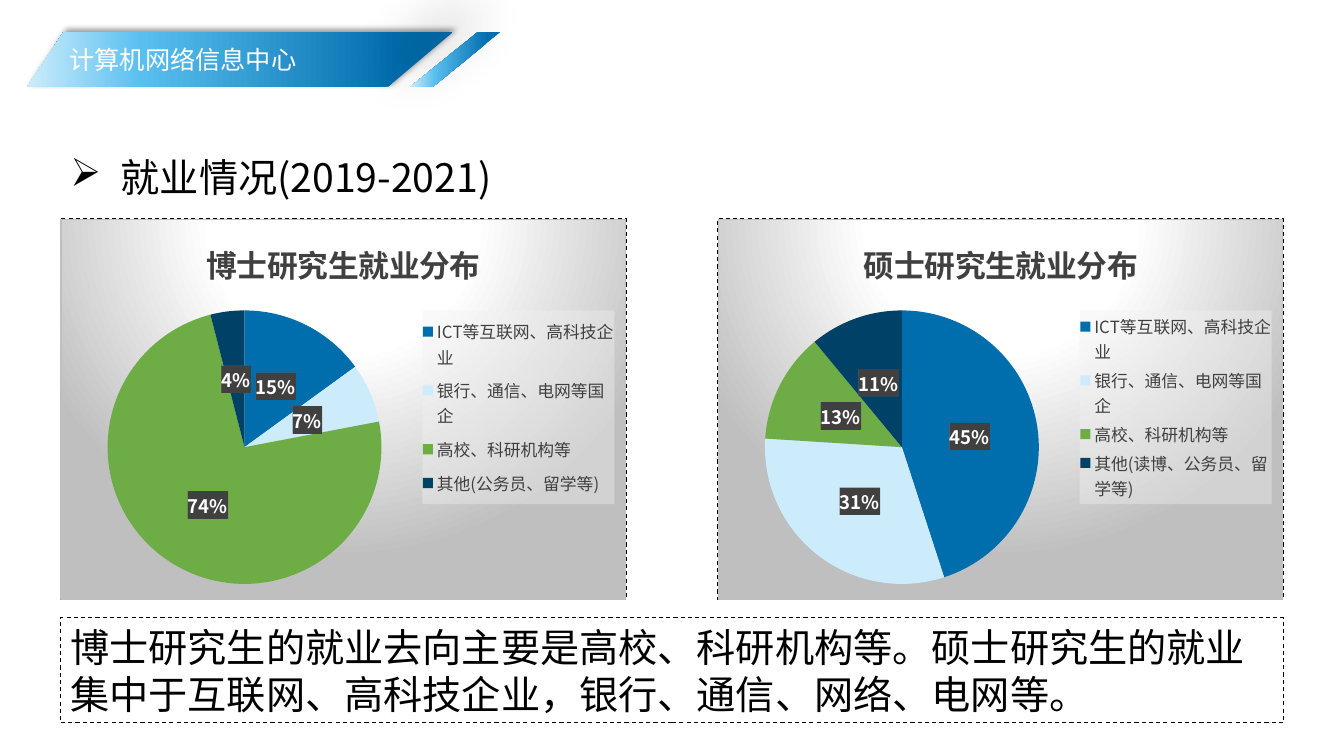
from lxml.etree import SubElement
from pptx import Presentation
from pptx.chart.data import CategoryChartData
from pptx.dml.color import RGBColor
from pptx.enum.chart import XL_CHART_TYPE, XL_LABEL_POSITION, XL_LEGEND_POSITION
from pptx.enum.dml import MSO_LINE
from pptx.enum.shapes import MSO_SHAPE
from pptx.enum.text import MSO_ANCHOR, PP_ALIGN
from pptx.oxml import parse_xml
from pptx.oxml.ns import nsdecls, qn
from pptx.util import Inches, Pt

FONT = "Noto Sans CJK SC"
COLORS = {
    "black": "000000", "white": "FFFFFF", "text": "404040", "border": "BFBFBF",
    "legend": "F2F2F2", "label": "595959",
    "deep": "016DAD", "sky": "59BFF0", "pale": "CCECFC",
}
SLICES = ["006DAD", "CCECFC", "6EAC46", "004168"]
BANNER_STOPS = [(13, "deep"), (73, "sky"), (100, "pale")]
CHART_STOPS = [(0, "white"), (39, "white"), (100, "border")]
LINEAR = '<a:lin ang="10800000" scaled="0"/>'
RADIAL = ('<a:path path="circle"><a:fillToRect l="50000" t="-80000" '
          'r="50000" b="180000"/></a:path>')
CHART_TOP, CHART_WIDTH, CHART_HEIGHT = 2.17, 5.61, 3.78
PLOT_AREA = (0.08, 0.24, 0.49, 0.72)
LEGEND_AREA = (0.64, 0.24, 0.34, 0.51)
CHARTS = [
    (0.6, "博士研究生就业分布", "其他(公务员、留学等)", (15, 7, 74, 4)),
    (7.12, "硕士研究生就业分布", "其他(读博、公务员、留学等)", (45, 31, 13, 11)),
]
CATEGORIES = ["ICT等互联网、高科技企业", "银行、通信、电网等国企", "高校、科研机构等"]
SUMMARY = ("博士研究生的就业去向主要是高校、科研机构等。硕士研究生的就业"
           "集中于互联网、高科技企业，银行、通信、网络、电网等。")


def rgb(name):
    return RGBColor.from_string(COLORS[name])


def style_font(font, size, color, bold=False):
    font.name = FONT
    font.size = Pt(size)
    font.bold = bold
    font.color.rgb = rgb(color)


def set_east_asian_font(root):
    for latin in list(root.iter(qn("a:latin"))):
        latin.addnext(parse_xml(f'<a:ea {nsdecls("a")} typeface="{FONT}"/>'))


def gradient(stops, direction):
    marks = "".join(
        f'<a:gs pos="{place * 1000}"><a:srgbClr val="{COLORS[name]}"/></a:gs>'
        for place, name in stops)
    return (f'<a:gradFill {nsdecls("a")} rotWithShape="1">'
            f'<a:gsLst>{marks}</a:gsLst>{direction}</a:gradFill>')


def chart_frame(fill, line="<a:ln><a:noFill/></a:ln>"):
    return parse_xml(f'<c:spPr {nsdecls("c", "a")}>{fill}{line}</c:spPr>')


def manual_layout(area, inner=False):
    layout = parse_xml(f'<c:layout {nsdecls("c")}><c:manualLayout/></c:layout>')
    settings = [("layoutTarget", "inner")] if inner else []
    settings += [("xMode", "edge"), ("yMode", "edge")]
    settings += zip("xywh", area)
    for name, value in settings:
        SubElement(layout[0], qn(f"c:{name}")).set("val", str(value))
    return layout


def drop_layout(parent):
    for layout in parent.findall(qn("c:layout")):
        parent.remove(layout)


def add_text(shape, text, size, color):
    frame = shape.text_frame
    frame.word_wrap = True
    frame.vertical_anchor = MSO_ANCHOR.TOP
    para = frame.paragraphs[0]
    para.text = text
    para.alignment = PP_ALIGN.LEFT
    style_font(para.font, size, color)
    return para


def add_text_box(page, left, top, width, height, text, size, color):
    box = page.shapes.add_textbox(*map(Inches, (left, top, width, height)))
    return add_text(box, text, size, color)


def add_dashed_box(page, left, top, width, height):
    box = page.shapes.add_shape(
        MSO_SHAPE.RECTANGLE, *map(Inches, (left, top, width, height)))
    box.shadow.inherit = False
    box.fill.background()
    box.line.color.rgb = rgb("black")
    box.line.width = Pt(0.75)
    box.line.dash_style = MSO_LINE.DASH
    return box


def style_banner(shape, alpha, blur, distance, angle):
    shape.fill.background()
    shape.line.fill.background()
    shape.shadow.inherit = False
    properties = shape.element.spPr
    empty = properties.find(qn("a:noFill"))
    properties.replace(empty, parse_xml(gradient(BANNER_STOPS, LINEAR)))
    properties.find(qn("a:effectLst")).append(parse_xml(
        f'<a:outerShdw {nsdecls("a")} blurRad="{Pt(blur)}" dist="{Pt(distance)}" '
        f'dir="{angle * 60000}" rotWithShape="0"><a:srgbClr val="{COLORS["black"]}">'
        f'<a:alpha val="{alpha * 1000}"/></a:srgbClr></a:outerShdw>'))


def add_banner(page):
    corners = [tuple(map(Inches, point)) for point in
               [(4.49, 0.32), (3.85, 0.86), (0.27, 0.86), (0.63, 0.32)]]
    builder = page.shapes.build_freeform(*corners[0])
    builder.add_line_segments(corners[1:], close=True)
    style_banner(builder.convert_to_shape(), 40, 4, 3, 315)
    stripe = page.shapes.add_shape(
        MSO_SHAPE.PARALLELOGRAM, *map(Inches, (4.07, 0.32, 0.89, 0.54)))
    stripe.adjustments[0] = 1.235
    style_banner(stripe, 34, 40, 20, 230)
    add_text_box(page, 0.59, 0.39, 3.28, 0.4, "计算机网络信息中心", 18, "white")


def add_heading(page):
    para = add_text_box(page, 0.6, 1.38, 12.13, 0.59,
                        "就业情况(2019-2021)", 28, "black")
    para.line_spacing = 1.2
    para.space_after = Pt(6)
    properties = para._p.get_or_add_pPr()
    properties.set("marL", str(Inches(0.5)))
    properties.set("indent", str(-Inches(0.5)))
    bullet = parse_xml(f'<a:buChar {nsdecls("a")} char="➢"/>')
    properties.find(qn("a:defRPr")).addprevious(bullet)


def style_legend(chart):
    chart.has_legend = True
    chart.legend.position = XL_LEGEND_POSITION.RIGHT
    chart.legend.include_in_layout = False
    style_font(chart.legend.font, 12, "text")
    legend = chart.element.find(f".//{qn('c:legend')}")
    drop_layout(legend)
    legend.find(qn("c:legendPos")).addnext(manual_layout(LEGEND_AREA))
    legend.find(qn("c:overlay")).addnext(chart_frame(
        f'<a:solidFill><a:srgbClr val="{COLORS["legend"]}">'
        '<a:alpha val="39000"/></a:srgbClr></a:solidFill>'))


def style_labels(plot):
    plot.has_data_labels = True
    labels = plot.data_labels
    labels.show_percentage = True
    labels.show_value = False
    labels.number_format = "0%"
    labels.number_format_is_linked = False
    labels.position = XL_LABEL_POSITION.CENTER
    style_font(labels.font, 13.3, "white", True)
    number_format = plot._element.find(f".//{qn('c:numFmt')}")
    number_format.addnext(chart_frame(
        f'<a:pattFill prst="dkVert"><a:fgClr><a:srgbClr val="{COLORS["text"]}"/>'
        f'</a:fgClr><a:bgClr><a:srgbClr val="{COLORS["label"]}"/></a:bgClr></a:pattFill>'))


def add_pie(page, left, title, last_category, values):
    data = CategoryChartData()
    data.categories = CATEGORIES + [last_category]
    data.add_series(title, values)
    chart = page.shapes.add_chart(
        XL_CHART_TYPE.PIE,
        *map(Inches, (left, CHART_TOP, CHART_WIDTH, CHART_HEIGHT)), data).chart
    style_font(chart.font, 10, "black")
    chart.has_title = True
    chart.chart_title.include_in_layout = False
    para = chart.chart_title.text_frame.paragraphs[0]
    span = para.add_run()
    span.text = title
    style_font(span.font, 22, "text", True)
    plot = chart.plots[0]
    plot.vary_by_categories = True
    for index, color in enumerate(SLICES):
        fill = plot.series[0].points[index].format.fill
        fill.solid()
        fill.fore_color.rgb = RGBColor.from_string(color)
    style_labels(plot)
    style_legend(chart)
    area = chart.element.find(f".//{qn('c:plotArea')}")
    drop_layout(area)
    area.insert(0, manual_layout(PLOT_AREA, inner=True))
    border = (f'<a:ln w="{Pt(0.75)}"><a:solidFill><a:srgbClr '
              f'val="{COLORS["border"]}"/></a:solidFill></a:ln>')
    chart.element.find(qn("c:chart")).addnext(
        chart_frame(gradient(CHART_STOPS, RADIAL), border))
    set_east_asian_font(chart.element)


def main():
    deck = Presentation()
    deck.slide_width, deck.slide_height = Inches(13.33), Inches(7.5)
    page = deck.slides.add_slide(deck.slide_layouts[6])
    for left, *content in CHARTS:
        add_dashed_box(page, left, CHART_TOP, CHART_WIDTH, CHART_HEIGHT)
    add_heading(page)
    add_banner(page)
    for left, *content in CHARTS:
        add_pie(page, left, *content)
    add_text(add_dashed_box(page, 0.6, 6.13, 12.13, 1.04), SUMMARY, 28, "black")
    set_east_asian_font(page.element)
    deck.save("out.pptx")


main()
